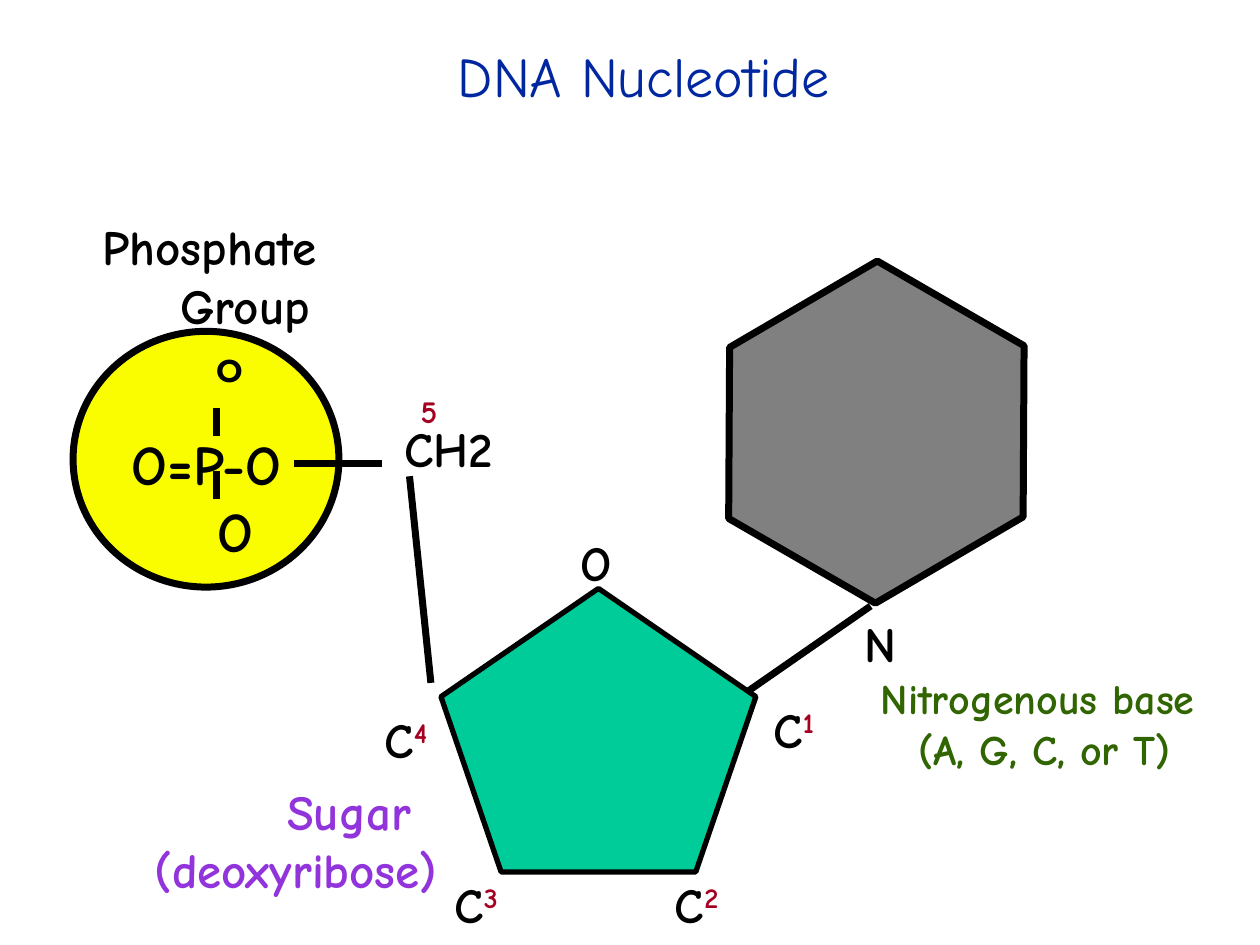
from dataclasses import dataclass

from lxml.etree import SubElement
from pptx import Presentation
from pptx.dml.color import RGBColor as Rgb
from pptx.enum.shapes import MSO_CONNECTOR as Link, MSO_SHAPE as Kind
from pptx.enum.text import MSO_ANCHOR as Anchor, PP_ALIGN as Align
from pptx.oxml.ns import qn
from pptx.util import Inches, Pt


@dataclass(frozen=True)
class Theme:
    font: str = "Comic Neue"
    alt: str = "Montserrat"
    ink: str = "000000"
    title: str = "00279F"
    acid: str = "FAFD00"
    ring: str = "808080"
    sugar: str = "00CC99"
    base: str = "316501"
    mark: str = "A50021"
    label: str = "9234DB"
    huge: int = 32
    big: int = 28
    mid: int = 24
    small: int = 18
    thick: int = 4
    thin: int = 3


def write(para, text, *, font, size, color, bold=True, sup=False):
    """Add one formatted run to a paragraph."""
    run = para.add_run()
    run.text = text
    run.font.name = font
    run.font.size = Pt(size)
    run.font.bold = bold
    run.font.color.rgb = Rgb.from_string(color)
    if sup:
        run._r.get_or_add_rPr().set("baseline", "30000")


class Board:
    def __init__(self, slide, theme):
        self.slide = slide
        self.theme = theme

    def title(self, text, *box):
        t = self.theme
        shape = self.slide.shapes.title
        shape.left, shape.top, shape.width, shape.height = map(Inches, box)
        frame = shape.text_frame
        frame.vertical_anchor = Anchor.MIDDLE
        para = frame.paragraphs[0]
        para.alignment = Align.CENTER
        write(para, text, font=t.font, size=t.huge, color=t.title, bold=False)

    def text(self, lines, *box, size=None, color=None, font=None, sup=None):
        """Write centred lines; each is a (text, left indent) pair."""
        t = self.theme
        frame = self.slide.shapes.add_textbox(*map(Inches, box)).text_frame
        frame.word_wrap = True
        look = dict(font=font or t.font, size=size or t.big)
        for i, (line, indent) in enumerate(lines):
            para = frame.add_paragraph() if i else frame.paragraphs[0]
            para.alignment = Align.CENTER
            if indent:
                para._p.get_or_add_pPr().set("marL", str(Inches(indent)))
            write(para, line, color=color or t.ink, **look)
            if sup:
                write(para, sup, color=t.mark, sup=True, **look)

    def shape(self, kind, fill, *box, width=None, turn=0, bend=None):
        t = self.theme
        shape = self.slide.shapes.add_shape(kind, *map(Inches, box))
        shape.shadow.inherit = False
        shape.rotation = turn
        if bend is not None:
            shape.adjustments[0] = bend
        shape.fill.solid()
        shape.fill.fore_color.rgb = Rgb.from_string(fill)
        shape.line.color.rgb = Rgb.from_string(t.ink)
        shape.line.width = Pt(width or t.thick)

    def line(self, *ends):
        t = self.theme
        line = self.slide.shapes.add_connector(Link.STRAIGHT, *map(Inches, ends))
        line.line.color.rgb = Rgb.from_string(t.ink)
        line.line.width = Pt(t.thick)
        SubElement(line._element.spPr, qn("a:effectLst"))


def main():
    deck = Presentation()
    deck.slide_width, deck.slide_height = Inches(10), Inches(7.5)
    theme = Theme()
    board = Board(deck.slides.add_slide(deck.slide_layouts[5]), theme)
    board.title("DNA Nucleotide", 2.64, 0.26, 4.94, 0.68)

    # Phosphate group
    board.shape(Kind.OVAL, theme.acid, 0.58, 2.63, 2.11, 2.03)
    board.text([("O=P-O", 0), ("O", 0.46)], 0.79, 3.36, 1.7, 1.17, size=theme.huge)
    board.text([("Phosphate", 0), ("Group", 0.56)], 0.62, 1.67, 2.09, 1.04)
    for top in (3.24, 3.74):
        board.line(1.72, top + 0.22, 1.72, top)
    board.line(2.33, 3.68, 3.03, 3.68)

    # Nitrogenous base
    board.shape(Kind.HEXAGON, theme.ring, 5.61, 2.25, 2.69, 2.36, turn=30, bend=0.285)
    board.text([("N", 0)], 6.73, 4.82, 0.52, 0.57)
    board.line(5.83, 5.56, 6.91, 4.81)
    board.text([("Nitrogenous base", 0), ("(A, G, C, or T)", 0.11)],
               6.73, 5.29, 3.01, 0.91, size=theme.mid, color=theme.base)

    # Sugar with its numbered carbons
    board.text([("CH2", 0)], 3.07, 3.27, 0.98, 0.57)
    board.line(3.25, 3.78, 3.42, 5.42)
    board.text([("O", 0)], 4.48, 4.18, 0.51, 0.57)
    carbons = {"1": (6, 5.5), "4": (2.92, 5.58), "3": (3.48, 6.89), "2": (5.23, 6.89)}
    for number, spot in carbons.items():
        board.text([("C", 0)], *spot, 0.6, 0.57, sup=number)
    board.text([("5", 0)], 3.23, 3.06, 0.35, 0.4, size=theme.small, color=theme.mark)
    board.text([("Sugar", 0.84), ("(deoxyribose)", 0)],
               0.98, 6.15, 2.74, 1.04, color=theme.label)
    board.shape(Kind.REGULAR_PENTAGON, theme.sugar, 3.5, 4.67, 2.5, 2.25,
                width=theme.thin)

    # Upper oxygen of the phosphate
    board.text([("O", 0)], 1.51, 2.74, 0.62, 0.71, size=theme.small, font=theme.alt)

    deck.save("out.pptx")


if __name__ == "__main__":
    main()
